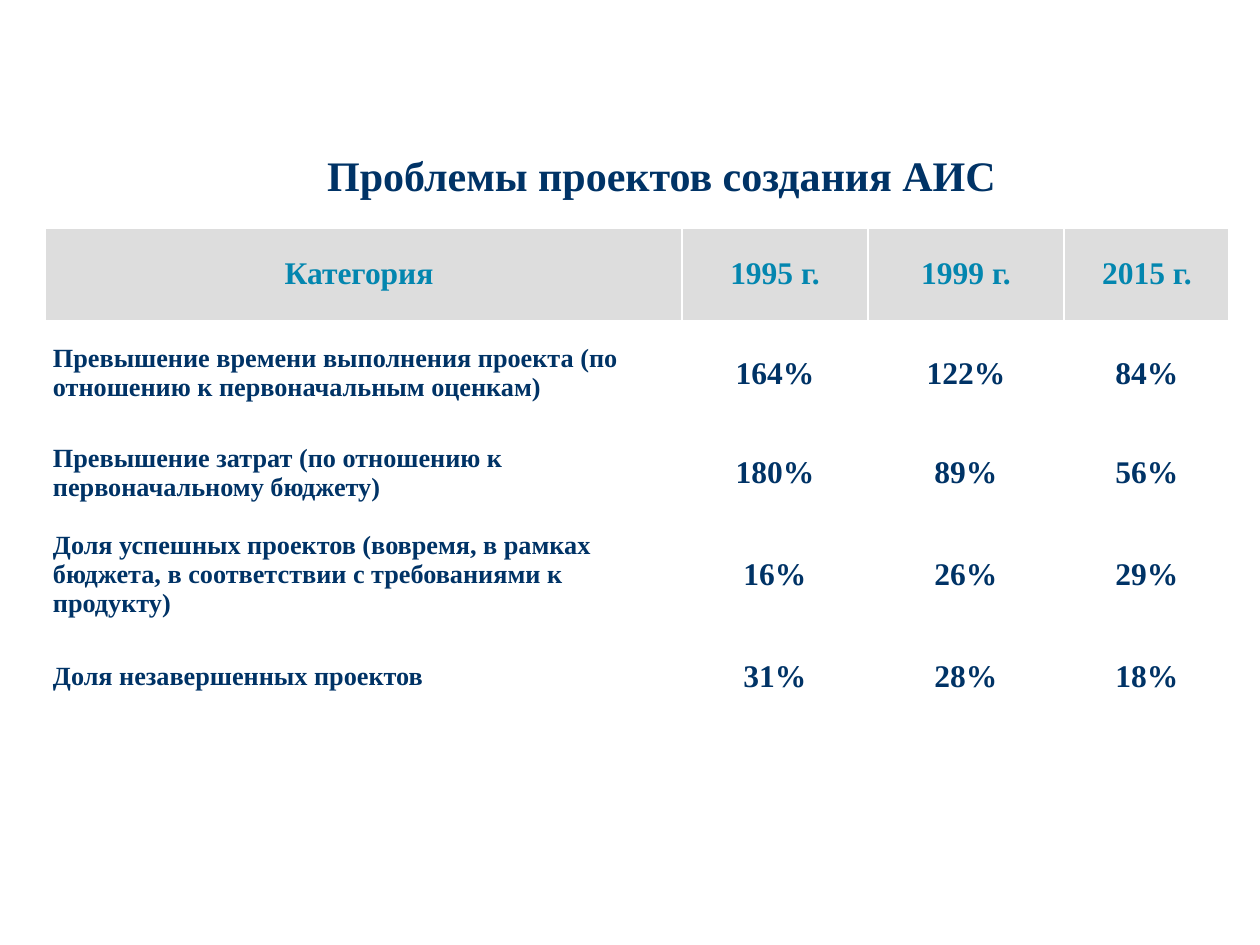
from dataclasses import dataclass

from lxml.etree import SubElement
from pptx import Presentation
from pptx.dml.color import RGBColor
from pptx.enum.text import MSO_ANCHOR as Anchor, MSO_AUTO_SIZE as AutoSize, PP_ALIGN as Align
from pptx.oxml.ns import qn
from pptx.util import Emu, Pt

PX = 914400 / 126
FONT = "Times New Roman"
NAVY, TEAL, GRAY, WHITE = "003366", "0386AF", "DDDDDD", "FFFFFF"
COL_WIDTHS = (638, 186, 196, 166)
ROW_HEIGHTS = (94, 105, 94, 110, 94)


@dataclass
class Row:
    """A table row: its category, its yearly values and its look."""
    category: str
    values: tuple[str, ...]
    category_size: int = 15
    category_align: Align = Align.LEFT
    color: str = NAVY
    fill: str | None = None


ROWS = (
    Row("Категория ", ("1995 г.", "1999 г.", "2015 г."), 18, Align.CENTER, TEAL, GRAY),
    Row("Превышение времени выполнения проекта (по отношению к первоначальным оценкам)",
        ("164%", "122%", "84%")),
    Row("Превышение затрат (по отношению к первоначальному бюджету)",
        ("180%", "89%", "56%")),
    Row("Доля успешных проектов (вовремя, в рамках бюджета, в соответствии с требованиями к продукту)",
        ("16%", "26%", "29%")),
    Row("Доля незавершенных проектов", ("31%", "28%", "18%")),
)


def px(n: int) -> Emu:
    """Turn pixels into EMU."""
    return Emu(round(n * PX))


def rgb(color: str) -> RGBColor:
    """Turn a hex string into a colour."""
    return RGBColor.from_string(color)


def set_attrs(obj, values: dict) -> None:
    """Set attributes from a dict of format values."""
    for name, value in values.items():
        setattr(obj, name, value)


def write(p, text: str, size: int, color: str, align: Align) -> None:
    """Write one bold run into a paragraph."""
    p.alignment = align
    r = p.add_run()
    r.text = text
    set_attrs(r.font, {"name": FONT, "size": Pt(size), "bold": True})
    r.font.color.rgb = rgb(color)


def add_title(s, text: str) -> None:
    """Move and fill the title placeholder."""
    sp = s.shapes.title
    set_attrs(sp, {"left": 0, "top": px(149), "width": px(1260), "height": px(58)})
    tf = sp.text_frame
    set_attrs(tf, {"word_wrap": True, "vertical_anchor": Anchor.MIDDLE,
                   "auto_size": AutoSize.SHAPE_TO_FIT_TEXT})
    p = tf.paragraphs[0]
    p.line_spacing = 0.9
    write(p, text, 24, NAVY, Align.CENTER)
    pPr = p._p.get_or_add_pPr()
    pPr.set("marL", "0")
    pPr.set("indent", str(px(63)))


def set_borders(cell, outer: dict[str, bool]) -> None:
    """Draw white cell borders, thicker on the outer edges."""
    tcPr = cell._tc.get_or_add_tcPr()
    for side, is_outer in outer.items():
        ln = SubElement(tcPr, qn(f"a:ln{side}"), w=str(Pt(2.25 if is_outer else 1)))
        fill = SubElement(ln, qn("a:solidFill"))
        SubElement(fill, qn("a:srgbClr"), val=WHITE)


def fill_cell(cell, text: str, size: int, align: Align, row: Row) -> None:
    """Format a cell and write its text."""
    set_attrs(cell, {"vertical_anchor": Anchor.MIDDLE,
                     "margin_left": px(9), "margin_right": px(9),
                     "margin_top": px(5), "margin_bottom": px(5)})
    if row.fill:
        cell.fill.solid()
        cell.fill.fore_color.rgb = rgb(row.fill)
    else:
        cell.fill.background()
    p = cell.text_frame.paragraphs[0]
    write(p, text, size, row.color, align)
    before = SubElement(p._p.get_or_add_pPr(), qn("a:spcBef"))
    SubElement(before, qn("a:spcPct"), val="20000")


def add_statistics(s, rows: tuple[Row, ...]) -> None:
    """Add the table of project statistics."""
    n_rows, n_cols = len(rows), len(COL_WIDTHS)
    table = s.shapes.add_table(n_rows, n_cols, px(44), px(227),
                               px(sum(COL_WIDTHS)), px(sum(ROW_HEIGHTS))).table
    set_attrs(table, {"first_row": False, "horz_banding": False})
    for col, width in zip(table.columns, COL_WIDTHS):
        col.width = px(width)
    for i, row in enumerate(rows):
        table.rows[i].height = px(ROW_HEIGHTS[i])
        for j, text in enumerate((row.category, *row.values)):
            cell = table.cell(i, j)
            set_borders(cell, {"L": j == 0, "R": j == n_cols - 1,
                               "T": i == 0, "B": i == n_rows - 1})
            size, align = (18, Align.CENTER) if j else (row.category_size, row.category_align)
            fill_cell(cell, text, size, align, row)


def main() -> None:
    """Build the slide and save it."""
    prs = Presentation()
    set_attrs(prs, {"slide_width": px(1260), "slide_height": px(945)})
    s = prs.slides.add_slide(prs.slide_layouts[5])
    add_title(s, "Проблемы проектов создания АИС")
    add_statistics(s, ROWS)
    prs.save("out.pptx")


if __name__ == "__main__":
    main()
